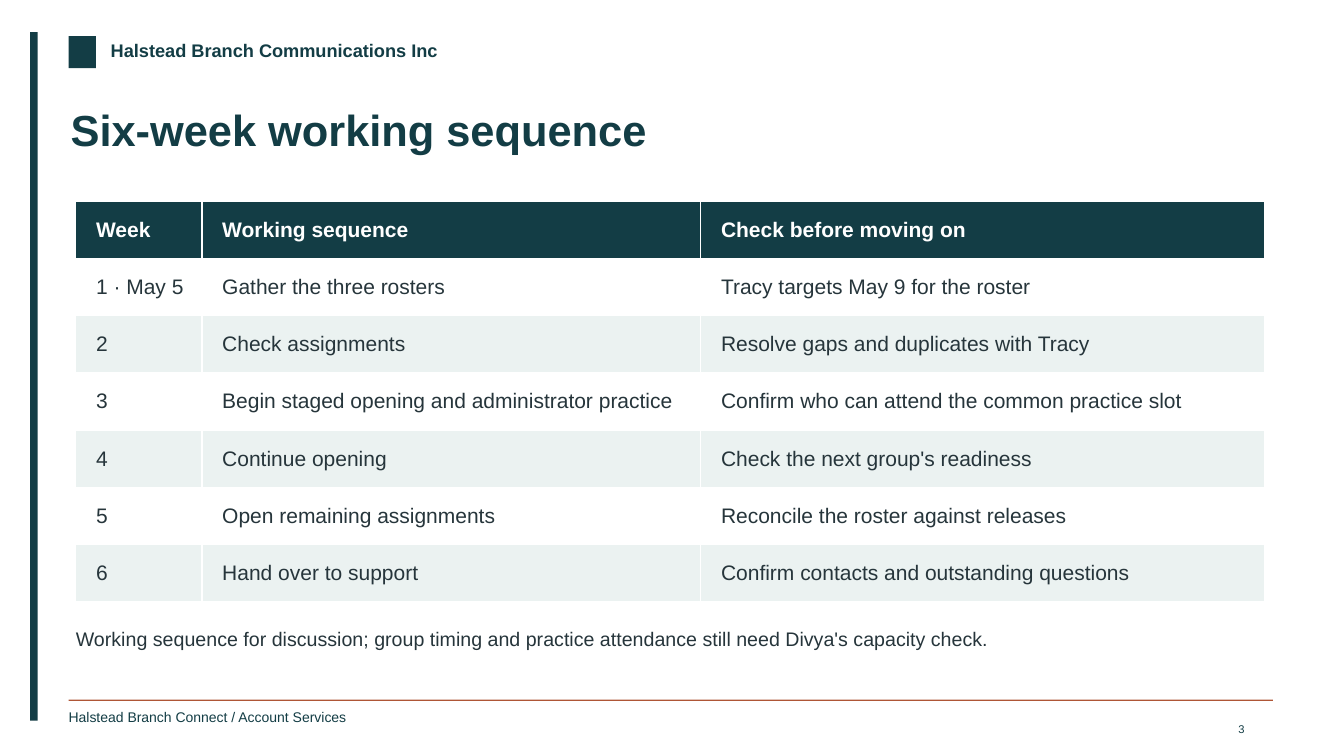
from dataclasses import dataclass

from lxml.etree import SubElement
from pptx import Presentation
from pptx.dml.color import RGBColor as RGB
from pptx.enum.shapes import MSO_SHAPE as Shape
from pptx.enum.text import MSO_ANCHOR as Anchor, MSO_AUTO_SIZE as Fit, PP_ALIGN as Align
from pptx.oxml.ns import qn
from pptx.util import Cm, Pt


@dataclass(frozen=True)
class Theme:
    face: str = "Arial"
    teal: str = "133D45"
    rust: str = "AF5636"
    ink: str = "26353B"
    mist: str = "EBF2F1"
    white: str = "FFFFFF"
    title: int = 31
    cell: int = 15
    note: int = 14
    brand: int = 13
    foot: int = 10
    page: int = 8


THEME = Theme()

BARS = [
    (0.76, 0.81, 0.19, 17.35, THEME.teal),  # side rail
    (1.73, 0.91, 0.69, 0.81, THEME.teal),  # brand mark
    (1.73, 17.63, 30.35, 0.03, THEME.rust),  # footer rule
]
COLS = [3.18, 12.57, 14.22]
ROW = 1.44
PADS = {"margin_left": 0.51, "margin_right": 0.2, "margin_top": 0.08, "margin_bottom": 0.08}
PLAN = [
    ("Week", "Working sequence", "Check before moving on"),
    ("1 · May 5", "Gather the three rosters", "Tracy targets May 9 for the roster"),
    ("2", "Check assignments", "Resolve gaps and duplicates with Tracy"),
    ("3", "Begin staged opening and administrator practice",
     "Confirm who can attend the common practice slot"),
    ("4", "Continue opening", "Check the next group's readiness"),
    ("5", "Open remaining assignments", "Reconcile the roster against releases"),
    ("6", "Hand over to support", "Confirm contacts and outstanding questions"),
]


def assign(item, values):
    for name, value in values.items():
        setattr(item, name, value)


def paint(fill, color):
    fill.solid()
    fill.fore_color.rgb = RGB.from_string(color)


def write(frame, text, size, color, bold=False, align=Align.LEFT):
    para = frame.paragraphs[0]
    para.text = text
    para.alignment = align
    assign(para.runs[0].font, {"name": THEME.face, "size": Pt(size), "bold": bold})
    para.runs[0].font.color.rgb = RGB.from_string(color)
    return para


def strip(frame, wrap):
    """Remove the insets and pin the text to the top of its box."""
    assign(frame, {"margin_left": 0, "margin_right": 0, "margin_top": 0, "margin_bottom": 0,
                   "word_wrap": wrap, "auto_size": Fit.NONE, "vertical_anchor": Anchor.TOP})


def add_bar(slide, left, top, width, height, color):
    bar = slide.shapes.add_shape(Shape.RECTANGLE, Cm(left), Cm(top), Cm(width), Cm(height))
    bar.shadow.inherit = False
    paint(bar.fill, color)
    bar.line.fill.background()


def add_label(slide, box, text, size, bold=False):
    frame = slide.shapes.add_textbox(*map(Cm, box)).text_frame
    strip(frame, False)
    write(frame, text, size, THEME.teal, bold)


def add_page(slide, number):
    frame = slide.shapes.add_textbox(Cm(30.48), Cm(18.08), Cm(1.14), Cm(0.51)).text_frame
    assign(frame, {"word_wrap": False, "auto_size": Fit.SHAPE_TO_FIT_TEXT})
    write(frame, number, THEME.page, THEME.teal, align=Align.RIGHT)


def fill_holder(holder, box, text, size, color, bold=False):
    """Move a template placeholder and set its single unbulleted paragraph."""
    assign(holder, dict(zip(("left", "top", "width", "height"), map(Cm, box))))
    strip(holder.text_frame, True)
    para = holder.text_frame.paragraphs[0]
    props = para._p.get_or_add_pPr()
    assign(para, {"space_before": Pt(0)})
    props.set("marL", "0")
    props.set("indent", "0")
    SubElement(props, qn("a:buNone"))
    write(holder.text_frame, text, size, color, bold)


def add_plan(slide):
    grid = slide.shapes.add_table(len(PLAN), len(COLS), Cm(1.91), Cm(5.08),
                                  Cm(sum(COLS)), Cm(ROW * len(PLAN))).table
    for col, width in zip(grid.columns, COLS):
        col.width = Cm(width)
    for r, words in enumerate(PLAN):
        head = r == 0
        back = THEME.teal if head else THEME.white if r % 2 else THEME.mist
        for cell, text in zip(grid.rows[r].cells, words):
            paint(cell.fill, back)
            assign(cell, {name: Cm(pad) for name, pad in PADS.items()})
            cell.vertical_anchor = Anchor.MIDDLE
            write(cell.text_frame, text, THEME.cell, THEME.white if head else THEME.ink, head)


def main():
    deck = Presentation()
    assign(deck, {"slide_width": Cm(33.87), "slide_height": Cm(19.05)})
    slide = deck.slides.add_slide(deck.slide_layouts[1])
    paint(slide.background.fill, THEME.white)
    for bar in BARS:
        add_bar(slide, *bar)
    add_label(slide, (2.79, 0.99, 9.02, 0.69), "Halstead Branch Communications Inc",
              THEME.brand, True)
    add_label(slide, (1.73, 17.86, 6.6, 0.58), "Halstead Branch Connect / Account Services",
              THEME.foot)
    title, note = slide.placeholders
    fill_holder(title, (1.78, 2.59, 30.23, 2.18), "Six-week working sequence",
                THEME.title, THEME.teal, True)
    fill_holder(note, (1.91, 15.8, 30.02, 1.12),
                "Working sequence for discussion; group timing and practice attendance "
                "still need Divya's capacity check.", THEME.note, THEME.ink)
    add_plan(slide)
    add_page(slide, "3")
    deck.save("out.pptx")


if __name__ == "__main__":
    main()
